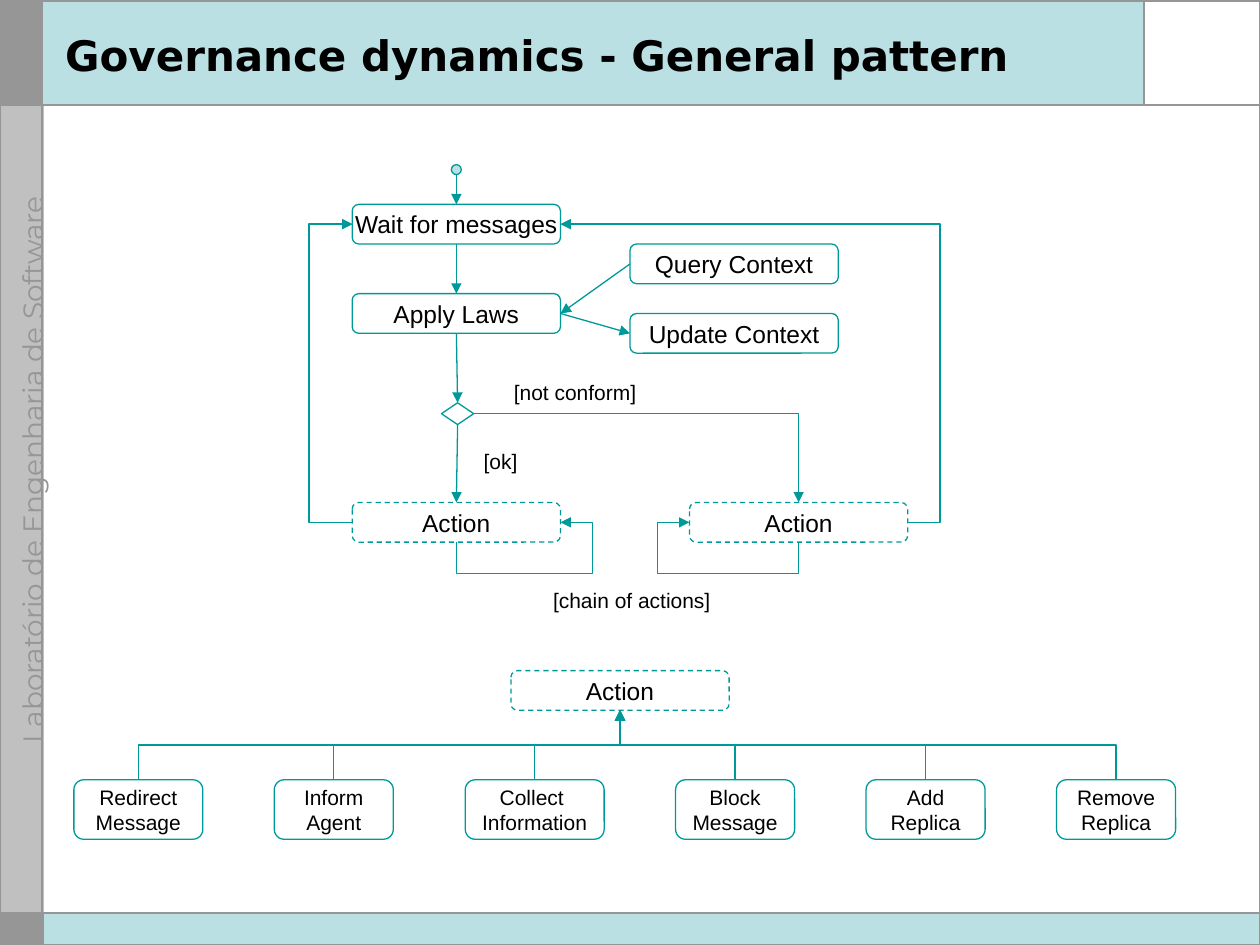
from lxml import etree
from pptx import Presentation
from pptx import util as u
from pptx.dml.color import RGBColor
from pptx.enum import dml, shapes, text
from pptx.oxml.ns import qn

TEAL, PALE, GREY, SILVER = "009999", "BBE0E3", "969696", "C0C0C0"
WIDTH, HEIGHT = 25.4, 19.05
BAR, HEADER, FOOTER, CORNER = 0.85, 2.11, 18.41, 23.06

# left, top, width, height in cm; fill; line
PANELS = [
    ((0.03, 0.03, BAR, HEADER), GREY, GREY),
    ((BAR, 0, WIDTH - BAR, HEADER), PALE, None),
    ((0.03, HEADER, BAR, FOOTER - HEADER), SILVER, SILVER),
    ((CORNER, 0, WIDTH - CORNER, HEADER), "FFFFFF", None),
    ((BAR, FOOTER, WIDTH - BAR, HEIGHT - FOOTER), PALE, None),
    ((0.03, FOOTER, BAR, 0.61), GREY, GREY),
]
RULES = [
    (CORNER, 0, CORNER, HEADER),
    (0, HEADER, WIDTH, HEADER),
    (BAR, 0, BAR, HEIGHT),
    (0, FOOTER, WIDTH, FOOTER),
]

# name: text, left, top, width, dashed
STEPS = {
    "wait": ("Wait for messages", 7.1, 4.12, 4.2, False),
    "apply": ("Apply Laws", 7.1, 5.92, 4.2, False),
    "query": ("Query Context", 12.7, 4.92, 4.2, False),
    "update": ("Update Context", 12.7, 6.32, 4.2, False),
    "ok": ("Action", 7.1, 10.13, 4.2, True),
    "failed": ("Action", 13.9, 10.13, 4.4, True),
    "parent": ("Action", 10.3, 13.52, 4.4, True),
}
STEP_HEIGHT = 0.8

# text, left, width
ACTIONS = [
    ("Redirect\nMessage", 1.49, 2.6),
    ("Inform\nAgent", 5.53, 2.4),
    ("Collect \nInformation", 9.38, 2.8),
    ("Block\nMessage", 13.62, 2.4),
    ("Add\nReplica", 17.46, 2.4),
    ("Remove\nReplica", 21.3, 2.4),
]
ACTION_TOP, ACTION_HEIGHT = 15.72, 1.2
TREE_Y = (STEPS["parent"][2] + STEP_HEIGHT + ACTION_TOP) / 2

LABELS = [
    ("[not conform]", 10.11, 7.52, 2.97),
    ("[ok]", 9.5, 8.92, 1.19),
    ("[chain of actions]", 10.9, 11.71, 3.68),
]

TOP, LEFT, BOTTOM, RIGHT = range(4)
SITES = {TOP: (0.5, 0), LEFT: (0, 0.5), BOTTOM: (0.5, 1), RIGHT: (1, 0.5)}
STRAIGHT_LINKS = [
    ("start", BOTTOM, "wait", TOP),
    ("wait", BOTTOM, "apply", TOP),
    ("apply", BOTTOM, "decision", TOP),
    ("decision", BOTTOM, "ok", TOP),
    ("query", LEFT, "apply", RIGHT),
    ("apply", RIGHT, "update", LEFT),
]
# the last item holds the coordinates of the bends, on alternating axes
BENT_LINKS = [
    ("ok", LEFT, "wait", LEFT, [6.23]),
    ("failed", RIGHT, "wait", RIGHT, [18.95]),
    ("decision", RIGHT, "failed", TOP, []),
    ("ok", BOTTOM, "ok", RIGHT, [11.56, 11.94]),
    ("failed", BOTTOM, "failed", LEFT, [11.56, 13.26]),
]


def color(hex_code):
    return RGBColor.from_string(hex_code)


def write(shape, content, size, font="Arial", fill="000000", bold=False, align=None,
          anchor=text.MSO_ANCHOR.TOP, wrap=False, fit=text.MSO_AUTO_SIZE.NONE):
    frame = shape.text_frame
    frame.word_wrap, frame.auto_size, frame.vertical_anchor = wrap, fit, anchor
    paragraph = frame.paragraphs[0]
    paragraph.text = content.replace("\n", "\v")
    paragraph.alignment = align or text.PP_ALIGN.LEFT
    for run in paragraph.runs:
        run.font.name, run.font.size, run.font.bold = font, u.Pt(size), bold
        run.font.color.rgb = color(fill)
    for line_break in paragraph._p.findall(qn("a:br")):
        etree.SubElement(line_break, qn("a:rPr"), sz=str(size * 100))


def add_shape(kind, box, fill=None, line=None, weight=0.75, dashed=False):
    shape = slide.shapes.add_shape(kind, *map(u.Cm, box))
    shape.shadow.inherit = False
    if fill:
        shape.fill.solid()
        shape.fill.fore_color.rgb = color(fill)
    else:
        shape.fill.background()
    if line:
        shape.line.color.rgb = color(line)
        shape.line.width = u.Pt(weight)
        if dashed:
            shape.line.dash_style = dml.MSO_LINE.DASH
    else:
        shape.line.fill.background()
    return shape


def add_box(content, box, size, dashed=False):
    shape = add_shape(shapes.MSO_SHAPE.ROUNDED_RECTANGLE, box, line=TEAL, dashed=dashed)
    write(shape, content, size, align=text.PP_ALIGN.CENTER, anchor=text.MSO_ANCHOR.MIDDLE)
    return shape


def add_line(kind, start, end, line, weight, arrow=False):
    connector = slide.shapes.add_connector(kind, *start, *end)
    connector.line.color.rgb = color(line)
    connector.line.width = u.Pt(weight)
    properties = connector._element.spPr
    if arrow:
        etree.SubElement(properties.find(qn("a:ln")), qn("a:tailEnd"), type="triangle")
    etree.SubElement(properties, qn("a:effectLst"))
    return connector


def site_point(shape, site):
    across, down = SITES[site]
    return (int(shape.left + shape.width * across), int(shape.top + shape.height * down))


def link(source, source_site, target, target_site, bends=None):
    """Join two shapes by an arrow: straight if bends is None, else at right angles."""
    start, end = site_point(source, source_site), site_point(target, target_site)
    kind = shapes.MSO_CONNECTOR.STRAIGHT if bends is None else shapes.MSO_CONNECTOR.ELBOW
    connector = add_line(kind, start, end, TEAL, 0.75, arrow=True)
    if source.auto_shape_type != shapes.MSO_SHAPE.OVAL:
        connector.begin_connect(source, source_site)
    connector.end_connect(target, target_site)
    if bends is not None:
        bend(connector, start, end, source_site in (TOP, BOTTOM), bends)


def bend(connector, start, end, vertical, bends):
    """Route an elbow connector that leaves its start vertically or horizontally."""
    spans = [stop - begin or u.Cm(0.01) for begin, stop in zip(start, end)]
    middle = [begin + span / 2 for begin, span in zip(start, spans)]
    axes = (1, 0) if vertical else (0, 1)
    width, height = (abs(spans[axis]) for axis in axes)
    connector.left, connector.top = int(middle[0] - width / 2), int(middle[1] - height / 2)
    connector.width, connector.height = width, height

    properties = connector._element.spPr
    transform = properties.find(qn("a:xfrm"))
    transform.set("rot", "5400000" if vertical else "0")
    transform.set("flipH", str(int(spans[axes[0]] < 0)))
    transform.set("flipV", str(int((spans[axes[1]] < 0) != vertical)))

    geometry = properties.find(qn("a:prstGeom"))
    geometry.set("prst", f"bentConnector{len(bends) + 2}")
    guides = geometry.find(qn("a:avLst"))
    if guides is None:
        guides = etree.SubElement(geometry, qn("a:avLst"))
    for number, (axis, position) in enumerate(zip(axes, bends), 1):
        share = round((u.Cm(position) - start[axis]) / spans[axis] * 100000)
        etree.SubElement(guides, qn("a:gd"), name=f"adj{number}", fmla=f"val {share}")


presentation = Presentation()
presentation.slide_width, presentation.slide_height = u.Cm(WIDTH), u.Cm(HEIGHT)
slide = presentation.slides.add_slide(presentation.slide_layouts[5])

for box, fill, line in PANELS:
    add_shape(shapes.MSO_SHAPE.RECTANGLE, box, fill, line)
side = slide.shapes.add_textbox(*map(u.Cm, (-4.67, 9.93, 10.16, 0.46)))
side.rotation = 270
write(side, "Laboratório de Engenharia de Software", 16, font="Montserrat", fill=GREY)
for rule in RULES:
    points = [u.Cm(value) for value in rule]
    add_line(shapes.MSO_CONNECTOR.STRAIGHT, points[:2], points[2:], GREY, 1)
add_shape(shapes.MSO_SHAPE.RECTANGLE, (0, 0.02, WIDTH, HEIGHT - 0.02), line=GREY, weight=1)

title = slide.shapes.title
slide.shapes._spTree.append(title._element)  # in front of the header band
title.left, title.top, title.width, title.height = map(u.Cm, (1.06, 0.31, 21.8, 1.58))
write(title, "Governance dynamics - General pattern", 24, font="DejaVu Sans", bold=True,
      anchor=text.MSO_ANCHOR.MIDDLE, wrap=True)

nodes = {
    name: add_box(content, (left, top, width, STEP_HEIGHT), 14, dashed)
    for name, (content, left, top, width, dashed) in STEPS.items()
}
nodes["start"] = add_shape(shapes.MSO_SHAPE.OVAL, (9.1, 3.32, 0.2, 0.2), PALE, TEAL)
nodes["decision"] = add_shape(shapes.MSO_SHAPE.DIAMOND, (8.9, 8.12, 0.65, 0.44), line=TEAL)

for source, source_site, target, target_site, *bends in STRAIGHT_LINKS + BENT_LINKS:
    link(nodes[source], source_site, nodes[target], target_site, *bends)

for content, left, top, width in LABELS:
    label = slide.shapes.add_textbox(*map(u.Cm, (left, top, width, 0.76)))
    write(label, content, 12, fit=text.MSO_AUTO_SIZE.SHAPE_TO_FIT_TEXT)

for content, left, width in ACTIONS:
    action = add_box(content, (left, ACTION_TOP, width, ACTION_HEIGHT), 12)
    link(action, TOP, nodes["parent"], BOTTOM, [TREE_Y])

presentation.save("out.pptx")
